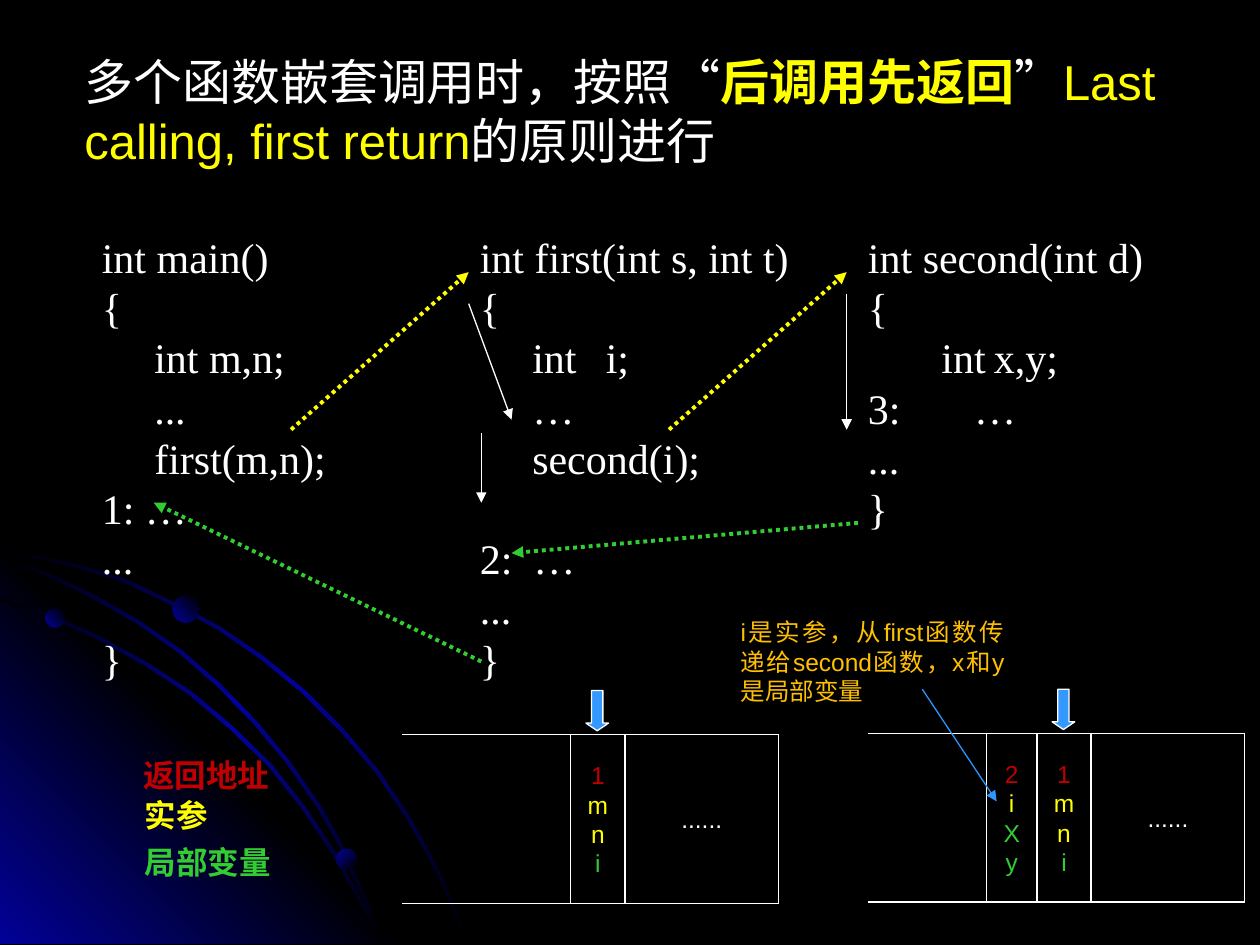
"""Build the slide on nested calls: last calling, first return."""
from lxml import etree
from pptx import Presentation
from pptx.dml.color import RGBColor
from pptx.enum.dml import MSO_LINE
from pptx.enum.shapes import MSO_CONNECTOR, MSO_SHAPE
from pptx.enum.text import MSO_ANCHOR, MSO_AUTO_SIZE, PP_ALIGN
from pptx.oxml.ns import qn
from pptx.util import Inches, Pt

RECT, OVAL, DOWN = MSO_SHAPE.RECTANGLE, MSO_SHAPE.OVAL, MSO_SHAPE.DOWN_ARROW
LEFT, MID, JUST = PP_ALIGN.LEFT, PP_ALIGN.CENTER, PP_ALIGN.JUSTIFY
TOP, CENTER = MSO_ANCHOR.TOP, MSO_ANCHOR.MIDDLE
NO_FIT, DOT, LINE = MSO_AUTO_SIZE.NONE, MSO_LINE.ROUND_DOT, MSO_CONNECTOR.STRAIGHT
BLACK, WHITE = RGBColor(0, 0, 0), RGBColor(255, 255, 255)
NAVY = RGBColor(1, 1, 0x99)
YELLOW, GREEN = RGBColor(255, 255, 0), RGBColor(0x33, 0xCC, 0x33)
RED, AMBER = RGBColor(0xC0, 0, 0), RGBColor(0xFF, 0xC0, 0)
BLUE, SKY = RGBColor(0x33, 0x99, 0xFF), RGBColor(0x2D, 0x96, 0xFE)

TITLE = [("多个函数嵌套调用时，按照“", WHITE, False), ("后调用先返回", YELLOW, True),
         ("”", WHITE, False), ("Last calling, first return", YELLOW, False),
         ("的原则进行", WHITE, False)]
CODE = [
    (0.71, 1.98, ["int main()", "{", "     int m,n;", "     ...",
                  "     first(m,n);", "1: …", "...", None, "}"]),
    (3.71, 2.65, ["int first(int s, int t)", "{", "     int \ti;", "     …",
                  "     second(i);", None, "2:  …", "...", "}"]),
    (6.79, 2.38, ["int second(int d)", "{", "       int\tx,y;", "3:       …",
                  "...", "}"]),
]
CALLS = [
    (2.31, 3.41, 3.72, 2.16, YELLOW), (5.31, 3.41, 6.72, 2.16, YELLOW),
    (6.81, 4.15, 4.06, 4.39, GREEN), (3.82, 5.25, 1.22, 3.99, GREEN),
]
STEPS = [(3.72, 2.41, 4.06, 3.33), (6.72, 2.33, 6.72, 3.41), (3.82, 3.44, 3.82, 3.99)]
KEYS = [(1.04, 5.95, "返回地址", RED), (1.05, 6.27, "实参", YELLOW),
        (1.05, 6.64, "局部变量", GREEN)]
FRAME = [("1", RED), ("m", YELLOW), ("n", YELLOW), ("i", GREEN)]
INNER = [("2", RED), ("i", YELLOW), ("X", GREEN), ("y", GREEN)]
REST = [("......", WHITE)]
STACKS = [(3.19, 5.83), (6.89, 5.82)]
NOTE = "i是实参，从first函数传递给second函数，x和y是局部变量"
ARCS = [
    [(0, 4.35), (0.57, 4.47), (0.98, 4.59), (1.36, 4.77), (1.74, 4.97),
     (2.09, 5.21), (2.42, 5.48), (2.72, 5.78), (3, 6.11), (3.25, 6.48),
     (3.39, 6.73), (3.52, 6.98), (3.62, 7.23), (3.72, 7.49)],
    [(0, 4.75), (0.41, 4.88), (0.79, 5.05), (1.17, 5.26), (1.52, 5.49),
     (1.84, 5.76), (2.15, 6.06), (2.42, 6.4), (2.66, 6.76), (2.86, 7.12),
     (2.96, 7.3), (3.03, 7.49)],
    [(0, 4.42), (0.39, 4.55), (0.76, 4.73), (1.11, 4.93), (1.44, 5.16),
     (1.75, 5.43), (2.04, 5.73), (2.29, 6.03), (2.54, 6.39), (2.69, 6.65),
     (2.82, 6.93), (2.94, 7.2), (3.03, 7.49)],
]
WEDGE = [(0, 4.27), (3.22, 7.49), (0, 7.49)]
BALLS = [(0.36, 4.83, 0.15, 315), (2.67, 6.74, 0.16, 45), (1.37, 4.73, 0.21, 315)]
PITCH, BAND = 28.7, 0.02


def blend(shape, tones, angle):
    shape.shadow.inherit = False
    shape.line.fill.background()
    shape.fill.solid()
    old = shape.element.spPr.find(qn("a:solidFill"))
    grad = etree.Element(qn("a:gradFill"), rotWithShape="1")
    stops = etree.SubElement(grad, qn("a:gsLst"))
    for i, tone in enumerate(tones):
        stop = etree.SubElement(stops, qn("a:gs"), pos=str(100000 * i // (len(tones) - 1)))
        etree.SubElement(stop, qn("a:srgbClr"), val=str(tone))
    etree.SubElement(grad, qn("a:lin"), ang=str(angle * 60000), scaled="0")
    old.getparent().replace(old, grad)


def outline(shapes, points):
    spots = [(Inches(x), Inches(y)) for x, y in points]
    form = shapes.build_freeform(*spots[0], scale=1.0)
    form.add_line_segments(spots[1:], close=True)
    return form.convert_to_shape()


def place(shape, x, y, w, h):
    shape.left, shape.top, shape.width, shape.height = map(Inches, (x, y, w, h))


def style(run, color, size, name="Arial", bold=False):
    look = {"size": Pt(size), "name": name, "bold": bold}
    for key, value in look.items():
        setattr(run.font, key, value)
    run.font.color.rgb = color


def setup(frame, wrap=True, anchor=TOP):
    look = {"word_wrap": wrap, "auto_size": NO_FIT, "vertical_anchor": anchor}
    for key, value in look.items():
        setattr(frame, key, value)


def write(frame, lines, size, align=LEFT, **font):
    for i, (text, color) in enumerate(lines):
        para = frame.add_paragraph() if i else frame.paragraphs[0]
        para.alignment = align
        run = para.add_run()
        run.text = text
        style(run, color, size, **font)


def label(shapes, box, lines, size, align=LEFT, wrap=True, **font):
    text = shapes.add_textbox(*map(Inches, box)).text_frame
    setup(text, wrap)
    write(text, lines, size, align, **font)
    return text


def listing(shapes, x, w, lines):
    shown = [(line, WHITE) for line in lines if line]
    box = (x, 1.79, w, 0.1 + 0.4 * len(lines))
    text = label(shapes, box, shown, 24, wrap=False, name="Times New Roman")
    for para in text.paragraphs:
        para.line_spacing = Pt(PITCH)
    if None in lines:
        text.paragraphs[lines.index(None)].space_before = Pt(PITCH)


def link(shapes, ends, color, width=0.75, dash=None, head=True):
    wire = shapes.add_connector(LINE, *map(Inches, ends))
    wire.line.color.rgb = color
    wire.line.width = Pt(width)
    if dash:
        wire.line.dash_style = dash
    props = wire.element.spPr
    if head:
        etree.SubElement(props.find(qn("a:ln")), qn("a:tailEnd"), type="triangle")
    etree.SubElement(props, qn("a:effectLst"))


def block(shapes, kind, box, fill=None):
    shape = shapes.add_shape(kind, *map(Inches, box))
    shape.shadow.inherit = False
    shape.line.color.rgb = WHITE
    shape.line.width = Pt(0.75)
    if fill:
        shape.fill.solid()
        shape.fill.fore_color.rgb = fill
    else:
        shape.fill.background()
    return shape


def cell(shapes, x, y, w, lines):
    text = block(shapes, RECT, (x, y, w, 1.34)).text_frame
    setup(text, False, CENTER)
    write(text, lines, 14, MID)


def stack(shapes, x, y):
    for edge in (y, y + 1.34):
        link(shapes, (x, edge, x + 2.99, edge), WHITE, head=False)
    cell(shapes, x + 1.34, y, 0.43, FRAME)
    cell(shapes, x + 1.77, y, 1.22, REST)
    arrow = block(shapes, DOWN, (x + 1.46, y - 0.35, 0.18, 0.32), BLUE)
    arrow.adjustments[0], arrow.adjustments[1] = 0.5, 0.34


def decor(shapes):
    blend(outline(shapes, WEDGE), (NAVY, BLACK, NAVY), 315)
    for arc in ARCS:
        back = [(max(x - BAND, 0), min(y + BAND, 7.49)) for x, y in reversed(arc)]
        blend(outline(shapes, arc + back), (BLACK, NAVY, BLACK), 45)
    for x, y, size, angle in BALLS:
        ball = shapes.add_shape(OVAL, *map(Inches, (x, y, size, size)))
        blend(ball, (NAVY, BLACK), angle)


def main():
    deck = Presentation()
    deck.slide_width, deck.slide_height = Inches(10), Inches(7.5)
    slide = deck.slides.add_slide(deck.slide_layouts[5])
    slide.background.fill.solid()
    slide.background.fill.fore_color.rgb = BLACK
    shapes = slide.shapes
    decor(shapes)
    place(shapes.title, 0.57, 0.36, 9.24, 1.04)
    setup(shapes.title.text_frame)
    head = shapes.title.text_frame.paragraphs[0]
    head.alignment = LEFT
    for text, color, bold in TITLE:
        run = head.add_run()
        run.text = text
        style(run, color, 28, bold=bold)
    for column in CODE:
        listing(shapes, *column)
    for *ends, color in CALLS:
        link(shapes, ends, color, 2.25, DOT)
    for ends in STEPS:
        link(shapes, ends, WHITE)
    for x, y, text, color in KEYS:
        label(shapes, (x, y, 1.37, 0.4), [(text, color)], 18, bold=True)
    for spot in STACKS:
        stack(shapes, *spot)
    cell(shapes, 7.83, 5.82, 0.4, INNER)
    label(shapes, (5.78, 4.85, 2.29, 0.81), [(NOTE, AMBER)], 14, JUST)
    link(shapes, (7.32, 5.47, 7.91, 6.36), SKY)
    deck.save("out.pptx")


if __name__ == "__main__":
    main()
